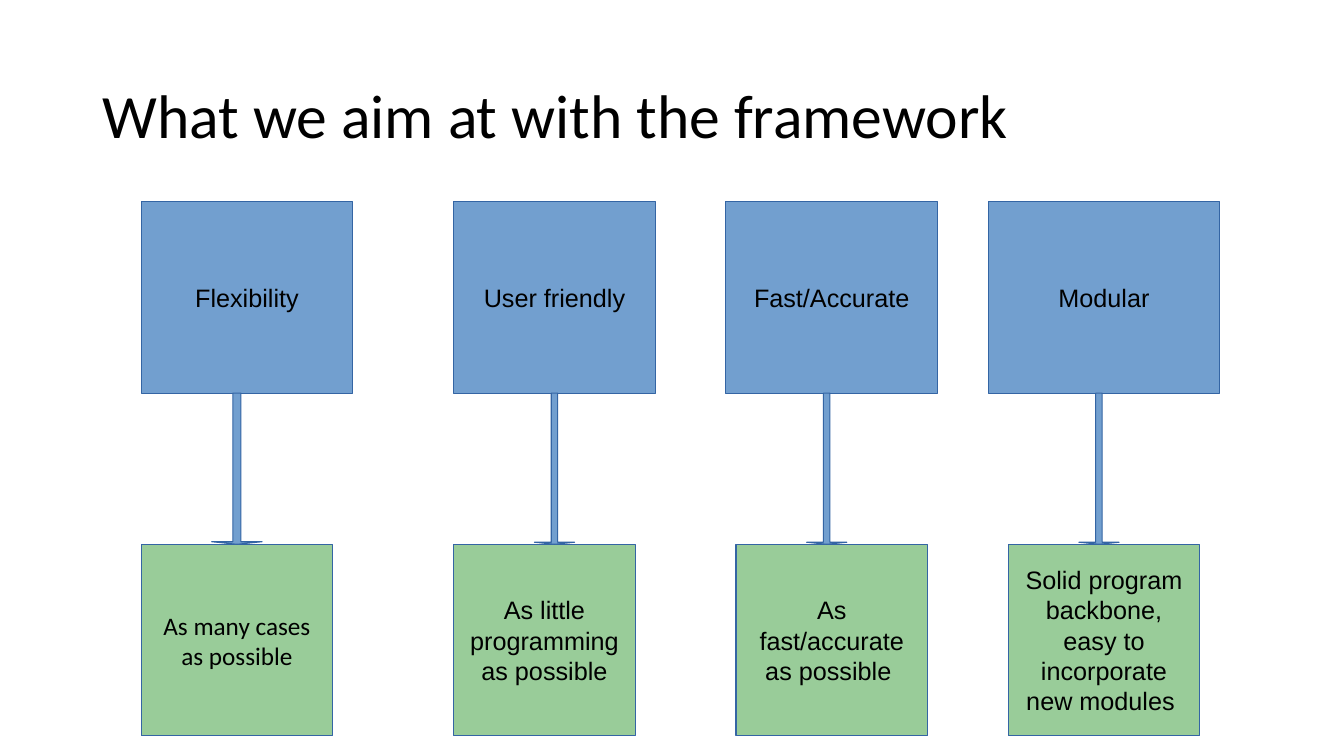
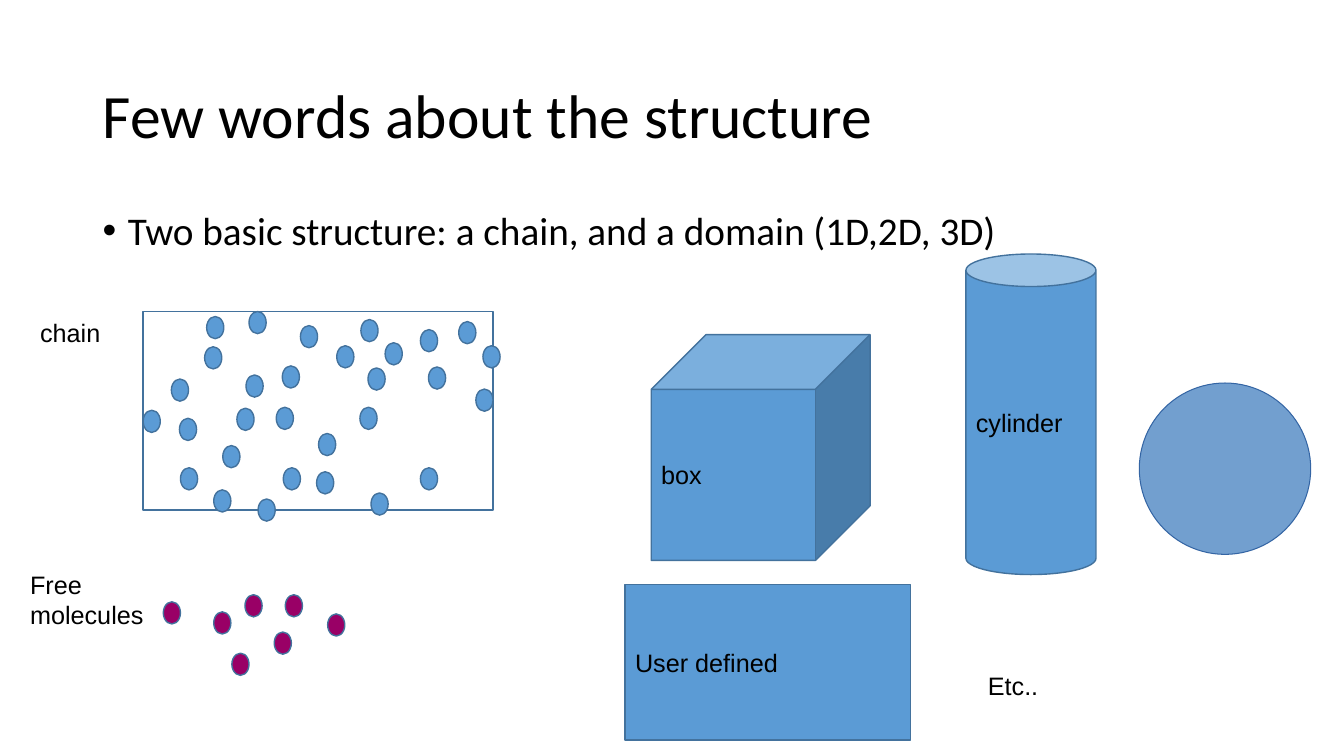
from lxml.etree import SubElement
from pptx import Presentation
from pptx.dml.color import RGBColor
from pptx.enum.shapes import MSO_SHAPE
from pptx.enum.text import MSO_ANCHOR, PP_ALIGN
from pptx.oxml.ns import qn
from pptx.util import Inches, Pt

BLACK, SKY, GREEN, BLUE, PURPLE = "000000", "729FCF", "99CC99", "5B9BD5", "990066"
THIN_LINE, DARK_LINE = ("3465A4", 0.75), ("43729D", 1)
BODY_LEFT, BODY_WIDTH = 0.92, 11.5

# Aims: (left, width) of the goal, arrow and result, with the texts and result font
GOAL_TOP, BOX_HEIGHT, ARROW_HEIGHT = 2, 1.9, 1.5
AIMS = [
    ("Flexibility", (1.4, 2.1), (2.1, 0.5), (1.4, 1.9),
     "As many cases as possible", "Calibri"),
    ("User friendly", (4.5, 2), (5.3, 0.4), (4.5, 1.8),
     "As little programming as possible", "Arial"),
    ("Fast/Accurate", (7.2, 2.1), (8, 0.4), (7.3, 1.9),
     "As fast/accurate as possible ", "Arial"),
    ("Modular", (9.8, 2.3), (10.7, 0.4), (10, 1.9),
     "Solid program backbone, easy to incorporate new modules ", "Arial"),
]

# Structure: scattered molecules as (left, top)
MOLECULE_SIZE = (0.17, 0.22)
CHAIN_MOLECULES = [
    (2.03, 3.44), (2.44, 3.72), (2.74, 4.04), (3.16, 4.3), (3.57, 4.04), (3.65, 3.65),
    (3.34, 3.43), (2.98, 3.23), (2.47, 3.09), (2.05, 3.14), (1.78, 4.15), (1.7, 3.76),
    (1.42, 4.07), (2.12, 4.86), (2.56, 4.95), (2.81, 4.64), (3.14, 4.68), (3.68, 4.89),
    (4.17, 4.64), (1.79, 4.64), (4.25, 3.64), (4.72, 3.86), (4.79, 3.43), (4.55, 3.19),
    (4.17, 3.27), (3.82, 3.4), (2.8, 3.63), (2.21, 4.42), (2.35, 4.05), (3.58, 3.17),
]
FREE_MOLECULES = [
    (3.25, 6.09), (2.72, 6.27), (2.12, 6.07), (1.62, 5.97), (2.3, 6.48), (2.43, 5.9),
    (2.83, 5.9),
]
DOMAINS = [
    (MSO_SHAPE.CUBE, (6.46, 3.32, 2.17, 2.24), "box"),
    (MSO_SHAPE.CAN, (9.58, 2.52, 1.29, 3.18), "cylinder"),
    (MSO_SHAPE.RECTANGLE, (6.2, 5.8, 2.83, 1.54), "User defined"),
]
LABELS = [
    ((9.7, 6.6, 2, 0.38), "Etc.."),
    ((0.3, 3.1, 1, 0.38), "chain"),
    ((0.2, 5.6, 1.42, 0.66), "Free molecules"),
]


def rgb(value):
    return RGBColor.from_string(value)


def write(box, text, size=18, font="Arial", align=PP_ALIGN.LEFT, anchor=MSO_ANCHOR.MIDDLE):
    frame = box.text_frame
    frame.text = text
    frame.word_wrap = True
    frame.vertical_anchor = anchor
    para = frame.paragraphs[0]
    para.alignment = align
    for span in para.runs:
        span.font.size = Pt(size)
        span.font.name = font
        span.font.color.rgb = rgb(BLACK)
    return para


def add_text(page, area, text, **style):
    return write(page.shapes.add_textbox(*map(Inches, area)), text, **style)


def add_figure(page, kind, area, fill, line):
    figure = page.shapes.add_shape(kind, *map(Inches, area))
    figure.shadow.inherit = False
    if fill:
        figure.fill.solid()
        figure.fill.fore_color.rgb = rgb(fill)
    else:
        figure.fill.background()
    colour, width = line
    figure.line.color.rgb = rgb(colour)
    figure.line.width = Pt(width)
    return figure


def add_bullet(para, indent=0.25):
    properties = para._p.get_or_add_pPr()
    properties.set("marL", str(Inches(indent)))
    properties.set("indent", str(-Inches(indent)))
    SubElement(properties, qn("a:buFont"), typeface="Arial")
    SubElement(properties, qn("a:buChar"), char="•")


def add_page(deck, title):
    page = deck.slides.add_slide(deck.slide_layouts[6])
    add_text(page, (BODY_LEFT, 0.4, BODY_WIDTH, 1.45), title, size=44, font="Calibri")
    return page


def build_aims(deck):
    page = add_page(deck, "What we aim at with the framework")
    arrow_top = GOAL_TOP + BOX_HEIGHT
    result_top = arrow_top + ARROW_HEIGHT
    for goal, goal_span, arrow_span, result_span, result, font in AIMS:
        for text, (left, width), top, fill, face in (
            (goal, goal_span, GOAL_TOP, SKY, "Arial"),
            (result, result_span, result_top, GREEN, font),
        ):
            box = add_figure(page, MSO_SHAPE.RECTANGLE, (left, top, width, BOX_HEIGHT),
                             fill, THIN_LINE)
            write(box, text, font=face, align=PP_ALIGN.CENTER)
        left, width = arrow_span
        arrow = add_figure(page, MSO_SHAPE.DOWN_ARROW, (left, arrow_top, width, ARROW_HEIGHT),
                           SKY, THIN_LINE)
        arrow.adjustments[0], arrow.adjustments[1] = 0.16, 0.05


def build_structure(deck):
    page = add_page(deck, "Few words about the structure")
    add_bullet(add_text(page, (BODY_LEFT, 2, BODY_WIDTH, 4.76),
                        "Two basic structure: a chain, and a domain (1D,2D, 3D)",
                        size=28, font="Calibri", anchor=MSO_ANCHOR.TOP))
    add_figure(page, MSO_SHAPE.RECTANGLE, (1.42, 3.09, 3.47, 1.97), None, DARK_LINE)
    for molecules, fill in ((CHAIN_MOLECULES, BLUE), (FREE_MOLECULES, PURPLE)):
        for place in molecules:
            add_figure(page, MSO_SHAPE.OVAL, place + MOLECULE_SIZE, fill, DARK_LINE)
    for kind, area, name in DOMAINS:
        write(add_figure(page, kind, area, BLUE, DARK_LINE), name)
    add_figure(page, MSO_SHAPE.OVAL, (11.3, 3.8, 1.7, 1.7), SKY, THIN_LINE)
    for area, text in LABELS:
        add_text(page, area, text, anchor=MSO_ANCHOR.TOP)


def main():
    deck = Presentation()
    deck.slide_width, deck.slide_height = Inches(13.33), Inches(7.5)
    build_aims(deck)
    build_structure(deck)
    deck.save("out.pptx")


if __name__ == "__main__":
    main()
